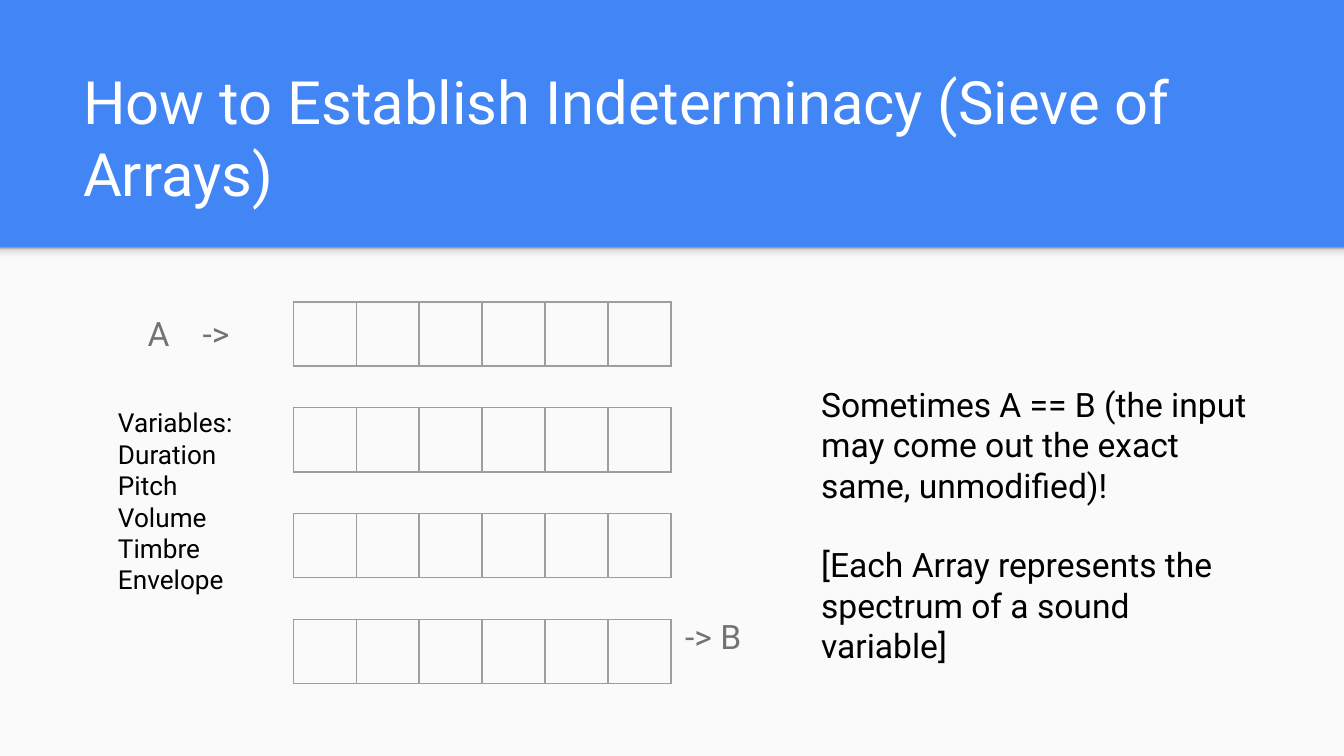
from lxml import etree
from copy import deepcopy
from pptx import Presentation
from pptx.dml.color import RGBColor
from pptx.enum.shapes import MSO_SHAPE as SHAPE
from pptx.enum.text import MSO_ANCHOR as ANCHOR
from pptx.oxml.ns import qn
from pptx.util import Cm, Pt

# Content
TITLE = "How to Establish Indeterminacy (Sieve of Arrays)"
VARIABLES = ["Variables:", "Duration", "Pitch", "Volume", "Timbre", "Envelope"]
REMARKS = [
    "Sometimes A == B (the input may come out the exact same, unmodified)!",
    "[Each Array represents the spectrum of a sound variable]",
]
MARKERS = [("A", 2.54, 5.66), ("->", 3.58, 5.66), ("-> B", 12.7, 11.4)]
COLORS = {"blue": "4285F4", "paper": "FAFAFA", "white": "FFFFFF",
          "black": "000000", "gray": "737373", "border": "9E9E9E"}
SHADE = [(0, "F9F9F9"), (0.36, "F9F9F9"), (0.8, "DEDEDE"), (1, "999999")]
FONT = "Roboto"

# Layout in centimetres
WIDTH, HEIGHT, BAND = 25.4, 14.29, 4.67
ARRAYS, CELLS = 4, 6
ARRAY_LEFT, ARRAY_TOP, ARRAY_STEP = 5.54, 5.71, 2.0
CELL_W, CELL_H = 1.19, 1.21


def rgb(name):
    return RGBColor.from_string(COLORS[name])


def add_text(paragraphs, x, y, w, h, size=18, color="black", anchor=ANCHOR.TOP, gap=0):
    tf = s.shapes.add_textbox(Cm(x), Cm(y), Cm(w), Cm(h)).text_frame
    tf.word_wrap = True
    tf.vertical_anchor = anchor
    tf.margin_left = tf.margin_right = tf.margin_top = tf.margin_bottom = Cm(0.25)
    for i, text in enumerate(paragraphs):
        p = tf.add_paragraph() if i else tf.paragraphs[0]
        p.space_before = Pt(gap if i else 0)
        r = p.add_run()
        r.text = text
        r.font.name, r.font.size = FONT, Pt(size)
        r.font.color.rgb = rgb(color)


def add_panel(y, h):
    sp = s.shapes.add_shape(SHAPE.RECTANGLE, 0, Cm(y), Cm(WIDTH), Cm(h))
    sp.shadow.inherit = False
    sp.line.fill.background()
    return sp


def add_array(y):
    table = s.shapes.add_table(1, CELLS, Cm(ARRAY_LEFT), Cm(y),
                               Cm(CELLS * CELL_W), Cm(CELL_H)).table
    table.first_row = table.horz_banding = False
    for column in table.columns:
        column.width = Cm(CELL_W)
    for cell in table.iter_cells():
        tcPr = cell._tc.get_or_add_tcPr()
        for side in ("a:lnL", "a:lnR", "a:lnT", "a:lnB"):
            ln = etree.SubElement(tcPr, qn(side), w=str(Pt(0.75)))
            fill = etree.SubElement(ln, qn("a:solidFill"))
            etree.SubElement(fill, qn("a:srgbClr"), val=COLORS["border"])
        cell.fill.background()


prs = Presentation()
prs.slide_width, prs.slide_height = Cm(WIDTH), Cm(HEIGHT)
s = prs.slides.add_slide(prs.slide_layouts[6])
s.background.fill.solid()
s.background.fill.fore_color.rgb = rgb("blue")

# Light panel and the shade under the title band
panel = add_panel(BAND, HEIGHT - BAND)
panel.fill.solid()
panel.fill.fore_color.rgb = rgb("paper")

shade = add_panel(BAND, 0.3)
shade.fill.gradient()
shade.fill.gradient_angle = 90
stops = shade._element.spPr.find(".//" + qn("a:gsLst"))
while len(stops) < len(SHADE):
    stops.append(deepcopy(stops[0]))
for stop, (position, color) in zip(shade.fill.gradient_stops, SHADE):
    stop.position = position
    stop.color.rgb = RGBColor.from_string(color)

# Title
add_text([TITLE], 1.32, 2.06, 22.83, 2.13, size=32, color="white", anchor=ANCHOR.BOTTOM)

# Arrays with their input and output markers
for i in range(ARRAYS):
    add_array(ARRAY_TOP + i * ARRAY_STEP)
for text, x, y in MARKERS:
    add_text([text], x, y, 2, 1.25, color="gray")

# Remarks and variables
add_text(REMARKS, 15.27, 7.01, 8.84, 6.07, gap=21)
add_text(VARIABLES, 1.98, 7.44, 2.97, 5.21, size=14)

prs.save("out.pptx")
